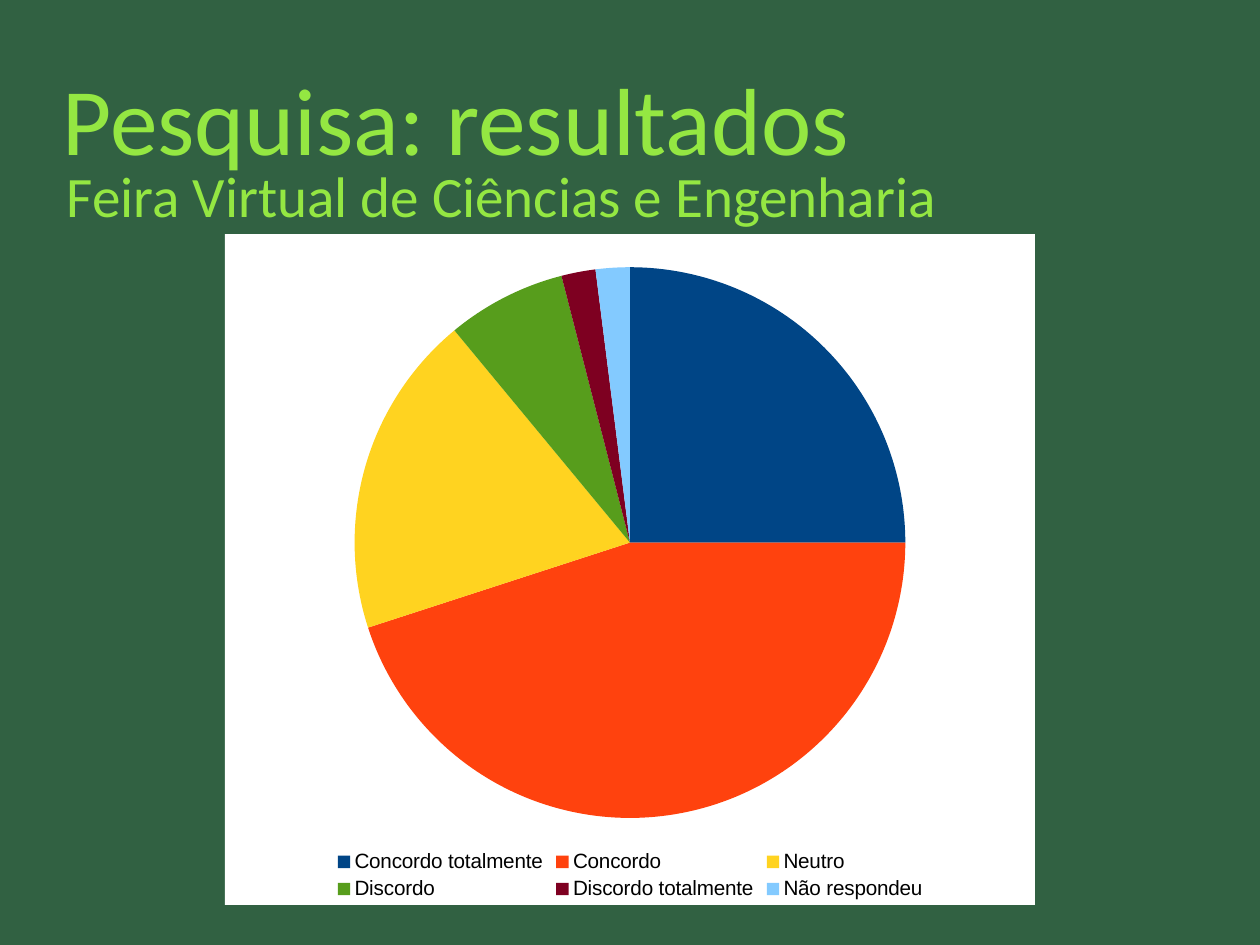
from lxml import etree
from pptx import Presentation
from pptx.chart.data import CategoryChartData
from pptx.dml.color import RGBColor
from pptx.enum.chart import XL_CHART_TYPE, XL_LEGEND_POSITION
from pptx.enum.text import MSO_ANCHOR
from pptx.oxml import parse_xml
from pptx.oxml.ns import nsdecls, qn
from pptx.util import Pt

PIE = XL_CHART_TYPE.PIE
BOTTOM = XL_LEGEND_POSITION.BOTTOM
MIDDLE = MSO_ANCHOR.MIDDLE

EMU_PER_PX = 8000
COLORS = {
    "background": "316142",
    "heading": "94E742",
    "panel": "FFFFFF",
    "legend": "000000",
}
RESULTS = [
    ("Concordo totalmente", 25, "004586"),
    ("Concordo", 45, "FF420E"),
    ("Neutro", 19, "FFD320"),
    ("Discordo", 7, "579D1C"),
    ("Discordo totalmente", 2, "7E0021"),
    ("Não respondeu", 2, "83CAFF"),
]
PLOT_LAYOUT = {"x": 0.16, "y": 0.03, "w": 0.68, "h": 0.86}


def px(*lengths):
    return [length * EMU_PER_PX for length in lengths]


def rgb(name):
    return RGBColor.from_string(COLORS[name])


def add_text(s, text, box, *, size, color, font="Calibri"):
    sp = s.shapes.add_textbox(*px(*box))
    tf = sp.text_frame
    tf.word_wrap = True
    tf.vertical_anchor = MIDDLE
    tf.margin_left = tf.margin_right = tf.margin_top = tf.margin_bottom = 0
    r = tf.paragraphs[0].add_run()
    r.text = text
    r.font.name = font
    r.font.size = Pt(size)
    r.font.color.rgb = rgb(color)
    return sp


def set_plot_layout(chart):
    plot_area = chart._chartSpace.chart.plotArea
    for old in plot_area.findall(qn("c:layout")):
        plot_area.remove(old)
    layout = parse_xml(f"<c:layout {nsdecls('c')}><c:manualLayout/></c:layout>")
    settings = {"layoutTarget": "outer", "xMode": "edge", "yMode": "edge", **PLOT_LAYOUT}
    for tag, value in settings.items():
        etree.SubElement(layout[0], qn(f"c:{tag}"), val=str(value))
    plot_area.insert(0, layout)


def set_panel_fill(chart, color):
    panel = parse_xml(
        f"<c:spPr {nsdecls('c', 'a')}><a:solidFill>"
        f'<a:srgbClr val="{COLORS[color]}"/></a:solidFill>'
        "<a:ln><a:noFill/></a:ln></c:spPr>"
    )
    chart._chartSpace.chart.addnext(panel)


def add_pie(s, box, results):
    data = CategoryChartData()
    data.categories = [label for label, _, _ in results]
    data.add_series("Series 1", [value for _, value, _ in results])
    chart = s.shapes.add_chart(PIE, *px(*box), data).chart
    chart.has_title = False
    chart.font.name = "Arial"
    chart.font.size = Pt(10)
    chart.has_legend = True
    legend = chart.legend
    legend.position = BOTTOM
    legend.include_in_layout = False
    legend.font.name = "Arial"
    legend.font.size = Pt(13)
    legend.font.color.rgb = rgb("legend")
    plot = chart.plots[0]
    plot.vary_by_categories = True
    for i, (_, _, color) in enumerate(results):
        slice_format = plot.series[0].points[i].format
        slice_format.fill.solid()
        slice_format.fill.fore_color.rgb = RGBColor.from_string(color)
        slice_format.line.fill.background()
    set_plot_layout(chart)
    set_panel_fill(chart, "panel")
    return chart


def main():
    prs = Presentation()
    prs.slide_width, prs.slide_height = px(1260, 945)
    s = prs.slides.add_slide(prs.slide_layouts[6])
    s.background.fill.solid()
    s.background.fill.fore_color.rgb = rgb("background")
    add_text(s, "Pesquisa: resultados", (63, 38, 1134, 158), size=60, color="heading")
    add_text(s, "Feira Virtual de Ciências e Engenharia", (67, 135, 1134, 119),
             size=36, color="heading")
    add_pie(s, (225, 234, 810, 671), RESULTS)
    prs.save("out.pptx")


if __name__ == "__main__":
    main()
